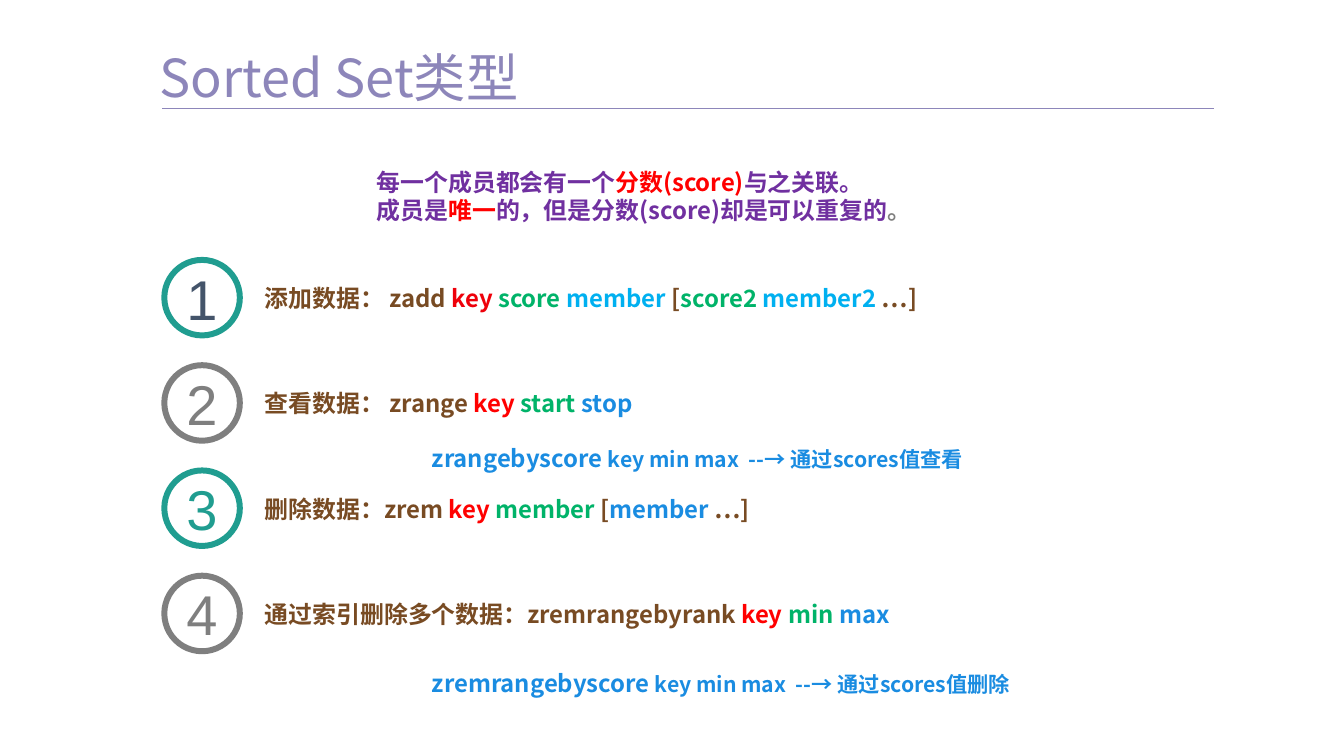
from lxml import etree
from pptx import Presentation, util as u
from pptx.dml import color
from pptx.enum import shapes, text
from pptx.oxml import ns

BROWN, RED, GREEN, BLUE, SKY = "784B23", "FF0000", "00B369", "1A8CE1", "00B0F0"
PURPLE, LILAC, GREY, TEAL, SLATE = "7030A0", "8D86BA", "7F7F7F", "209D90", "44546A"
CRIMSON, FULL_STOP_GREY = "EE000A", "808080"

ROW_TOP, ROW_PITCH = 195.8, 79.3
LINE_HEIGHT = 21.6

COMMANDS = [
    (TEAL, SLATE, 620, [("添加数据： zadd ", BROWN), ("key ", CRIMSON), ("score ", GREEN),
                        ("member", SKY), (" [", BROWN), ("score2 ", GREEN),
                        ("member2", SKY), (" …]", BROWN)]),
    (GREY, GREY, 705, [("查看数据： zrange ", BROWN), ("key ", RED), ("start ", GREEN),
                       ("stop", BLUE)]),
    (TEAL, TEAL, 507, [("删除数据：zrem ", BROWN), ("key ", RED), ("member", GREEN),
                       (" [", BROWN), ("member ", BLUE), ("…]", BROWN)]),
    (GREY, GREY, 541, [("通过索引删除多个数据：zremrangebyrank ", BROWN), ("key ", RED),
                       ("min ", GREEN), ("max", BLUE)]),
]
SCORE_COMMANDS = [
    (334, "zrangebyscore ", "key min max  --→ 通过scores值查看"),
    (504, "zremrangebyscore ", "key min max  --→ 通过scores值删除"),
]
DEFINITION = [
    [("每一个成员都会有一个", PURPLE), ("分数(score)", RED), ("与之关联。", PURPLE)],
    [("成员是", PURPLE), ("唯一", RED), ("的，但是分数(score)却是可以重复的", PURPLE),
     ("。", FULL_STOP_GREY)],
]


def rgb(value):
    return color.RGBColor.from_string(value)


class SlideBuilder:
    """Draw styled elements on the current slide, with lengths in points."""

    def __init__(self, slide, font="Noto Sans CJK SC", number_font="Arial"):
        self.slide = slide
        self.font = font
        self.number_font = number_font

    def format_run(self, run, size, hue, bold, name):
        run.font.size = u.Pt(size)
        run.font.bold = bold
        run.font.color.rgb = rgb(hue)
        run.font.name = name
        east_asian = etree.SubElement(run.font._element, ns.qn("a:ea"))
        east_asian.set("typeface", name)

    def set_margins(self, frame, horizontal, vertical):
        frame.margin_left = frame.margin_right = u.Pt(horizontal)
        frame.margin_top = frame.margin_bottom = u.Pt(vertical)

    def text(self, left, top, width, height, runs, bold=True, middle=True):
        box = self.slide.shapes.add_textbox(u.Pt(left), u.Pt(top), u.Pt(width), u.Pt(height))
        frame = box.text_frame
        frame.word_wrap = True
        frame.auto_size = text.MSO_AUTO_SIZE.SHAPE_TO_FIT_TEXT
        frame.vertical_anchor = text.MSO_ANCHOR.MIDDLE if middle else text.MSO_ANCHOR.TOP
        self.set_margins(frame, 0, 0)
        for words, hue, size in runs:
            run = frame.paragraphs[0].add_run()
            run.text = words
            self.format_run(run, size, hue, bold, self.font)

    def rule(self, left, right, top, hue):
        line = self.slide.shapes.add_connector(
            shapes.MSO_CONNECTOR.STRAIGHT, u.Pt(left), u.Pt(top), u.Pt(right), u.Pt(top))
        line.line.color.rgb = rgb(hue)
        line.line.width = u.Pt(0.5)
        etree.SubElement(line._element.spPr, ns.qn("a:effectLst"))

    def numbered_circle(self, left, top, diameter, number, ring, hue):
        circle = self.slide.shapes.add_shape(
            shapes.MSO_SHAPE.OVAL, u.Pt(left), u.Pt(top), u.Pt(diameter), u.Pt(diameter))
        circle.shadow.inherit = False
        circle.fill.solid()
        circle.fill.fore_color.rgb = rgb("FFFFFF")
        circle.line.color.rgb = rgb(ring)
        circle.line.width = u.Pt(4.5)
        frame = circle.text_frame
        frame.text = str(number)
        frame.vertical_anchor = text.MSO_ANCHOR.MIDDLE
        self.set_margins(frame, 0, 0)
        paragraph = frame.paragraphs[0]
        paragraph.alignment = text.PP_ALIGN.CENTER
        self.format_run(paragraph.runs[0], 42.2, hue, False, self.number_font)


def main():
    presentation = Presentation()
    presentation.slide_width = u.Pt(1012.5)
    presentation.slide_height = u.Pt(569.5)
    slide = presentation.slides.add_slide(presentation.slide_layouts[6])
    builder = SlideBuilder(slide)

    builder.text(120.2, 33.8, 312, 47.5, [("Sorted Set类型", LILAC, 39.4)],
                 bold=False, middle=False)
    builder.rule(122.4, 914.4, 81.4, LILAC)

    for index, (ring, hue, width, parts) in enumerate(COMMANDS):
        top = ROW_TOP + index * ROW_PITCH
        builder.numbered_circle(123.8, top, 56.9, index + 1, ring, hue)
        builder.text(199.4, top + 18, width, LINE_HEIGHT,
                     [(words, shade, 18) for words, shade in parts])

    for top, command, arguments in SCORE_COMMANDS:
        builder.text(325.4, top, 494, LINE_HEIGHT,
                     [(command, BLUE, 18), (arguments, BLUE, 16)])

    for index, parts in enumerate(DEFINITION):
        builder.text(283.7, 126 + index * LINE_HEIGHT, 420, LINE_HEIGHT,
                     [(words, shade, 18) for words, shade in parts], middle=False)

    presentation.save("out.pptx")


if __name__ == "__main__":
    main()
